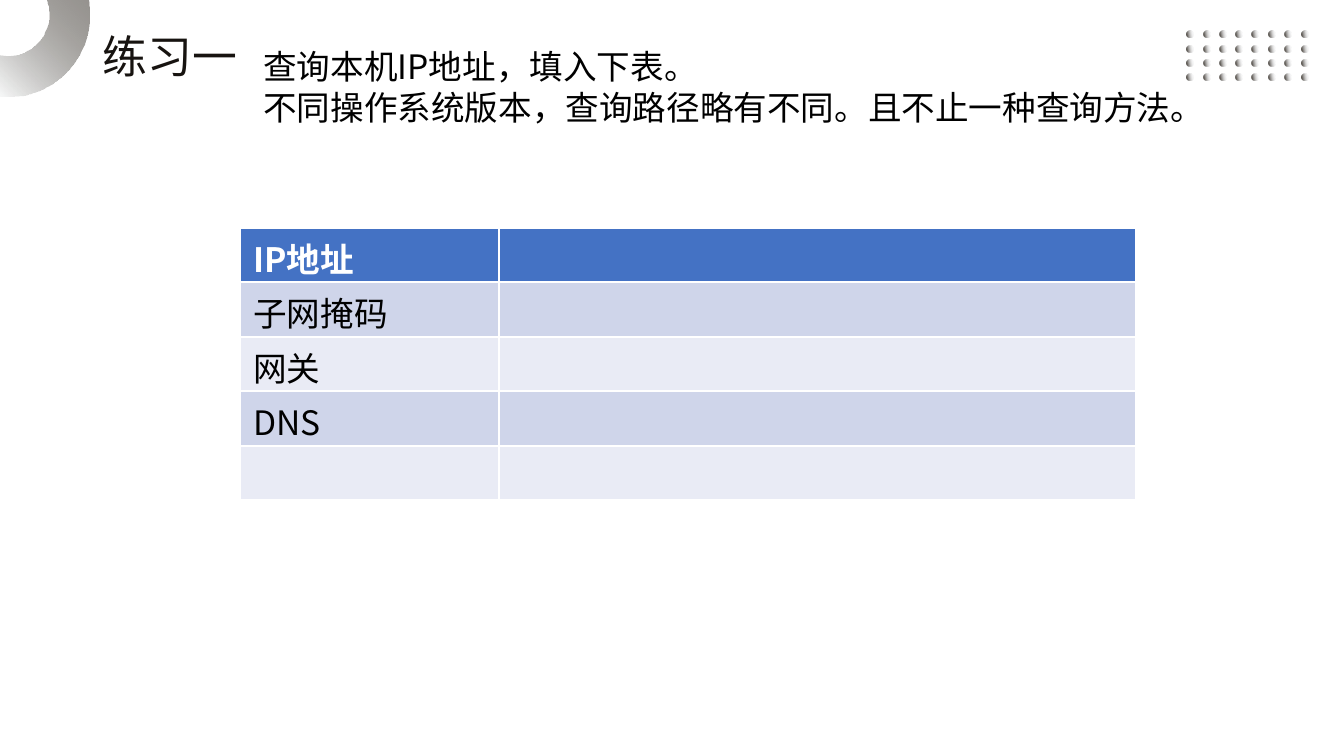
import math
from dataclasses import dataclass

import pptx
import pptx.dml.color
import pptx.enum.shapes
import pptx.enum.text
import pptx.oxml
import pptx.oxml.ns
import pptx.oxml.xmlchemy
import pptx.util

Pt = pptx.util.Pt


@dataclass(frozen=True)
class Theme:
    """Colours, fonts and type sizes of the slide."""
    title_font: str = "Noto Sans CJK JP"
    body_font: str = "Noto Sans CJK SC"
    title_size: float = 24
    body_size: float = 18
    title_leading: float = 29
    body_leading: float = 22
    title_ink: str = "171310"
    ink: str = "000000"
    header_ink: str = "FFFFFF"
    header_fill: str = "4472C4"
    bands: tuple = ("CFD5EA", "E9EBF5")
    dot_stops: tuple = ((0, "F6F8FC", 0), (0.87, "504B45", 100))
    ring_stops: tuple = ((0, "F7F8F8", 100), (1, "504B45", 60))


THEME = Theme()


def rgb(value):
    """Turn a hex string into a colour."""
    return pptx.dml.color.RGBColor.from_string(value)


def write_line(paragraph, text, font_name, size, leading, ink, bold=False):
    """Write one run of text into a paragraph."""
    paragraph.line_spacing = Pt(leading)
    paragraph.alignment = pptx.enum.text.PP_ALIGN.LEFT
    run = paragraph.add_run()
    run.text = text
    run.font.name = font_name
    run.font.size = Pt(size)
    run.font.bold = bold
    run.font.color.rgb = rgb(ink)
    east_asian = pptx.oxml.xmlchemy.OxmlElement("a:ea")
    east_asian.set("typeface", font_name)
    run.font._element.find(pptx.oxml.ns.qn("a:latin")).addnext(east_asian)


def paint_gradient(shape, stops, angle):
    """Fill a shape with a two-stop gradient and drop its line and shadow."""
    shape.shadow.inherit = False
    shape.line.fill.background()
    shape.fill.gradient()
    shape.fill.gradient_angle = angle
    for stop, (position, colour, _) in zip(shape.fill.gradient_stops, stops):
        stop.position = position
        stop.color.rgb = rgb(colour)
    colours = shape._element.spPr.iter(pptx.oxml.ns.qn("a:srgbClr"))
    for colour, (_, _, opacity) in zip(list(colours), stops):
        if opacity < 100:
            alpha = pptx.oxml.xmlchemy.OxmlElement("a:alpha")
            alpha.set("val", str(opacity * 1000))
            colour.append(alpha)


def add_dot_grid(slide, left, top, width, height, columns=8, rows=4, dot=3.6):
    """Spread shaded dots evenly over the box."""
    grid = slide.shapes.add_group_shape()
    column_step = (width - dot) / (columns - 1)
    row_step = (height - dot) / (rows - 1)
    for column in range(columns):
        for row in range(rows):
            bead = grid.shapes.add_shape(
                pptx.enum.shapes.MSO_SHAPE.OVAL,
                Pt(left + column * column_step), Pt(top + row * row_step), Pt(dot), Pt(dot))
            paint_gradient(bead, THEME.dot_stops, 190)


def add_corner_ring(slide, left, top, width, height, steps=32):
    """Draw the part of a ring that shows inside the box."""
    centre_x, centre_y = width * 0.09, height * 0.155
    outer = width - centre_x
    inner = outer / 2

    def arc(radius):
        """Return the points of an arc from the top edge to the left edge."""
        start = math.asin(-centre_y / radius)
        end = math.acos(-centre_x / radius)
        angles = [start + (end - start) * step / steps for step in range(steps + 1)]
        return [(Pt(left + centre_x + radius * math.cos(angle)),
                 Pt(top + centre_y + radius * math.sin(angle))) for angle in angles]

    outline = arc(outer) + arc(inner)[::-1]
    builder = slide.shapes.build_freeform(*outline[0])
    builder.add_line_segments(outline[1:], close=True)
    paint_gradient(builder.convert_to_shape(), THEME.ring_stops, 45)


def add_title(slide, text, left, top, width, height):
    """Place the slide title in the box."""
    title = slide.shapes.title
    title.left, title.top, title.width, title.height = map(Pt, (left, top, width, height))
    frame = title.text_frame
    frame.word_wrap = False
    frame.auto_size = pptx.enum.text.MSO_AUTO_SIZE.NONE
    frame.vertical_anchor = pptx.enum.text.MSO_ANCHOR.TOP
    write_line(frame.paragraphs[0], text, THEME.title_font, THEME.title_size,
               THEME.title_leading, THEME.title_ink)


def add_instructions(slide, lines, left, top, width, height):
    """Place the task instructions in the box, one paragraph a line."""
    instructions = slide.shapes.add_textbox(*map(Pt, (left, top, width, height)))
    frame = instructions.text_frame
    frame.word_wrap = True
    for index, line in enumerate(lines):
        paragraph = frame.add_paragraph() if index else frame.paragraphs[0]
        write_line(paragraph, line, THEME.body_font, THEME.body_size,
                   THEME.body_leading, THEME.ink)


def add_answer_table(slide, labels, left, top, width, height, label_width):
    """Place a two-column table with labels and blank answer cells."""
    answers = slide.shapes.add_table(
        len(labels), 2, *map(Pt, (left, top, width, height))).table
    answers.columns[0].width = Pt(label_width)
    answers.columns[1].width = Pt(width - label_width)
    for index, label in enumerate(labels):
        header = index == 0
        answers.rows[index].height = Pt(height / len(labels))
        for cell in answers.rows[index].cells:
            cell.fill.solid()
            cell.fill.fore_color.rgb = rgb(
                THEME.header_fill if header else THEME.bands[(index - 1) % 2])
            cell.margin_top = Pt(7)
            cell.margin_bottom = Pt(0)
        if label:
            write_line(answers.cell(index, 0).text_frame.paragraphs[0], label,
                       THEME.body_font, THEME.body_size, THEME.body_leading,
                       THEME.header_ink if header else THEME.ink, header)


def main():
    """Build the exercise slide and save it."""
    deck = pptx.Presentation()
    deck.slide_width, deck.slide_height = Pt(720), Pt(405)
    slide = deck.slides.add_slide(deck.slide_layouts[5])
    add_dot_grid(slide, 635.8, 16.6, 64.8, 26.6)
    add_corner_ring(slide, 0, 0, 48, 51)
    add_title(slide, "练习一", 47.8, 11.4, 87, 36)
    add_instructions(slide, ["查询本机IP地址，填入下表。",
                             "不同操作系统版本，查询路径略有不同。且不止一种查询方法。"],
                     134, 20.5, 554, 51)
    add_answer_table(slide, ["IP地址", "子网掩码", "网关", "DNS", ""],
                     128.5, 122, 480, 146, 139)
    deck.save("out.pptx")


if __name__ == "__main__":
    main()
